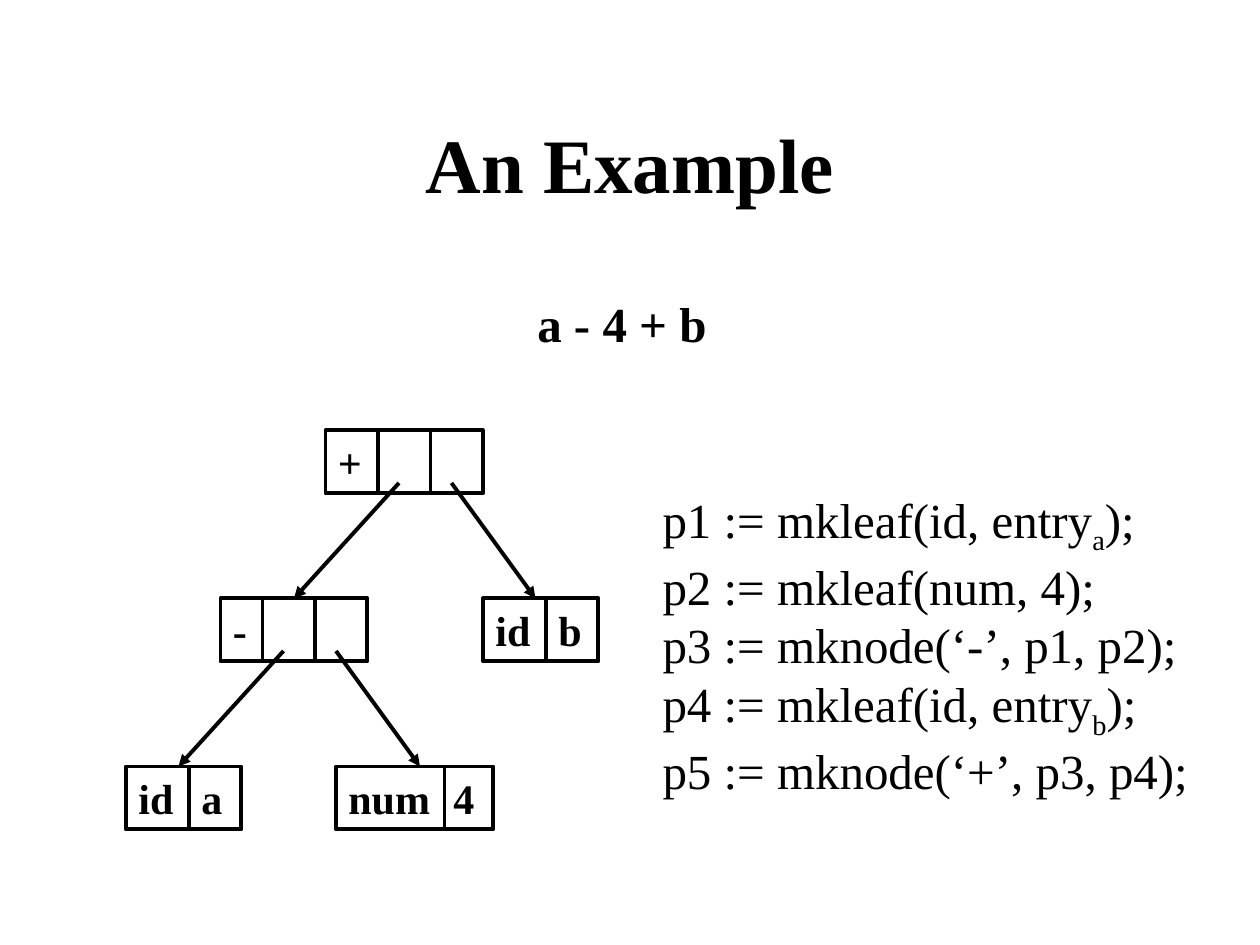
from lxml.etree import SubElement
from pptx import Presentation
from pptx.dml.color import RGBColor
from pptx.enum.shapes import MSO_CONNECTOR, MSO_SHAPE
from pptx.enum.text import MSO_ANCHOR, MSO_AUTO_SIZE, PP_ALIGN
from pptx.oxml.ns import qn
from pptx.util import Pt

BLACK = RGBColor(0, 0, 0)
FONT = "Times New Roman"
LINE_WIDTH = 2.25
NODE_HEIGHT = 36
TOP_ROW, MIDDLE_ROW, BOTTOM_ROW = 246, 342, 438


class TreeSlide:
    def __init__(self, slide):
        self.slide = slide

    def run(self, p, text, size, bold=False, subscript=False):
        r = p.add_run()
        r.text = text
        r.font.name = FONT
        r.font.size = Pt(size)
        r.font.bold = bold
        r.font.color.rgb = BLACK
        if subscript:
            r._r.get_or_add_rPr().set("baseline", "-25000")

    def title(self, text, left, top, width, height):
        sp = self.slide.shapes.title
        sp.left, sp.top, sp.width, sp.height = map(Pt, (left, top, width, height))
        tf = sp.text_frame
        tf.auto_size = MSO_AUTO_SIZE.NONE
        tf.vertical_anchor = MSO_ANCHOR.MIDDLE
        p = tf.paragraphs[0]
        p.alignment = PP_ALIGN.CENTER
        self.run(p, text, 44, bold=True)

    def text(self, shapes, lines, left, top, width, height, size, bold=False):
        sp = shapes.add_textbox(Pt(left), Pt(top), Pt(width), Pt(height))
        tf = sp.text_frame
        tf.word_wrap = False
        for i, line in enumerate(lines):
            p = tf.add_paragraph() if i else tf.paragraphs[0]
            for j, part in enumerate(line):
                self.run(p, part, size, bold, subscript=j == 1)

    def line(self, shapes, x1, y1, x2, y2):
        cxn = shapes.add_connector(MSO_CONNECTOR.STRAIGHT, Pt(x1), Pt(y1), Pt(x2), Pt(y2))
        cxn.line.color.rgb = BLACK
        cxn.line.width = Pt(LINE_WIDTH)
        SubElement(cxn._element.spPr, qn("a:effectLst"))
        return cxn

    def arrow(self, x1, y1, x2, y2):
        cxn = self.line(self.slide.shapes, x1, y1, x2, y2)
        SubElement(cxn.line._get_or_add_ln(), qn("a:tailEnd"), type="triangle")
        return cxn

    def node(self, left, top, width, dividers, labels):
        shapes = self.slide.shapes.add_group_shape().shapes
        box = shapes.add_shape(MSO_SHAPE.RECTANGLE, Pt(left), Pt(top), Pt(width), Pt(NODE_HEIGHT))
        box.shadow.inherit = False
        box.fill.background()
        box.line.color.rgb = BLACK
        box.line.width = Pt(LINE_WIDTH)
        for x in dividers:
            self.line(shapes, x, top, x, top + NODE_HEIGHT)
        for label, x, label_width in labels:
            self.text(shapes, [[label]], x, top, label_width, NODE_HEIGHT, 24, bold=True)
        return box


def main():
    prs = Presentation()
    prs.slide_width, prs.slide_height = Pt(720), Pt(540)
    s = prs.slides.add_slide(prs.slide_layouts[5])
    tree = TreeSlide(s)
    tree.title("An Example", 54, 48, 612, 90)
    tree.text(s.shapes, [["a - 4 + b"]], 300, 164, 111, 41, 28, bold=True)

    tree.node(186, TOP_ROW, 90, [216, 246], [("+", 186, 28)])
    minus = tree.node(126, MIDDLE_ROW, 84, [150, 180], [("-", 126, 22.5)])
    tree.node(276, MIDDLE_ROW, 66, [312], [("id", 276, 34.5), ("b", 312, 27.5)])
    tree.node(72, BOTTOM_ROW, 66, [108], [("id", 72, 34.5), ("a", 108, 26)])
    tree.node(192, BOTTOM_ROW, 90, [254], [("num", 192, 61), ("4", 252, 26)])

    plus_to_minus = tree.arrow(228, 276, 168, MIDDLE_ROW)
    plus_to_minus.end_connect(minus, 0)
    tree.arrow(258, 276, 306, MIDDLE_ROW)
    tree.arrow(162, 372, 102, BOTTOM_ROW)
    tree.arrow(192, 372, 240, BOTTOM_ROW)

    code = [
        ["p1 := mkleaf(id, entry", "a", ");"],
        ["p2 := mkleaf(num, 4);"],
        ["p3 := mknode(‘-’, p1, p2);"],
        ["p4 := mkleaf(id, entry", "b", ");"],
        ["p5 := mknode(‘+’, p3, p4);"],
    ]
    tree.text(s.shapes, code, 371.5, 276, 314.5, 184, 28)
    prs.save("out.pptx")


if __name__ == "__main__":
    main()
